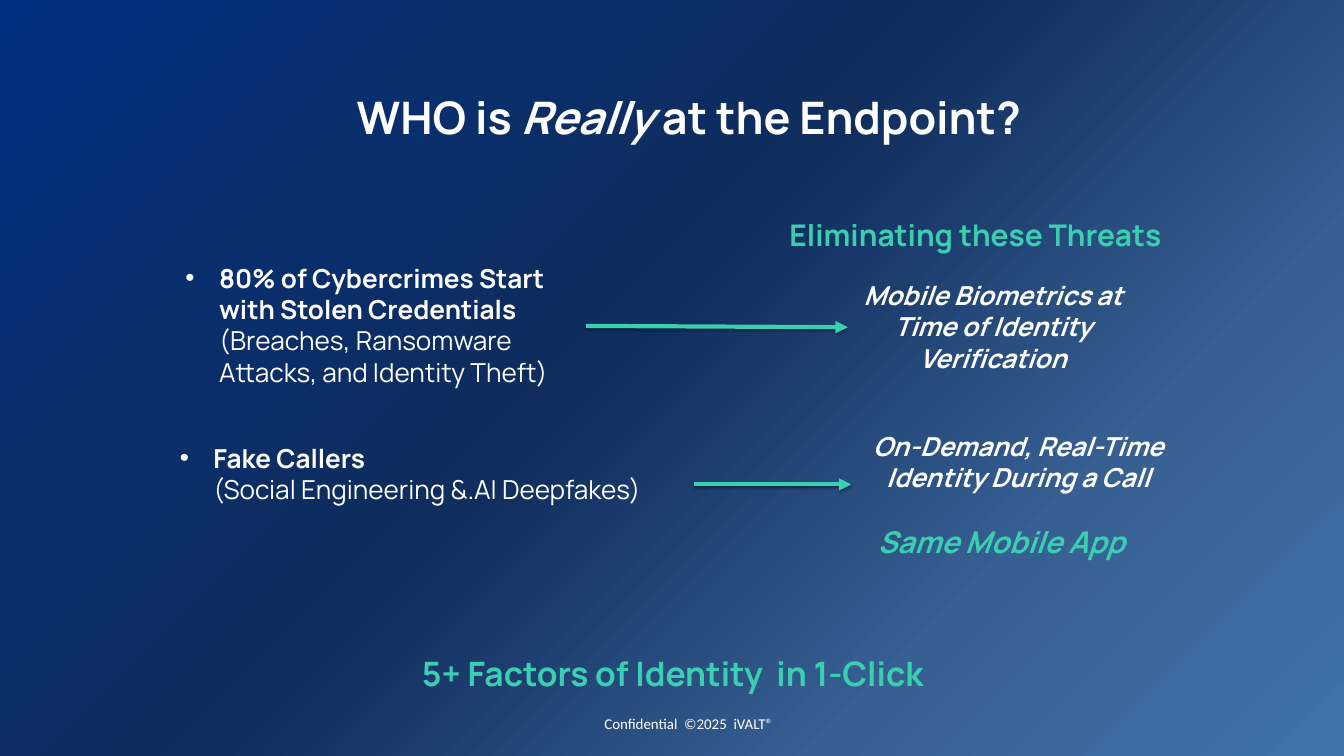
from dataclasses import dataclass

from lxml import etree
from pptx import Presentation
from pptx.dml.color import RGBColor
from pptx.enum.shapes import MSO_CONNECTOR
from pptx.enum.text import MSO_ANCHOR, MSO_AUTO_SIZE, PP_ALIGN
from pptx.oxml import parse_xml
from pptx.oxml.ns import nsdecls, qn
from pptx.util import Cm, Pt

LEFT, CENTER = PP_ALIGN.LEFT, PP_ALIGN.CENTER
TOP, MIDDLE = MSO_ANCHOR.TOP, MSO_ANCHOR.MIDDLE
GROW = MSO_AUTO_SIZE.SHAPE_TO_FIT_TEXT
STRAIGHT = MSO_CONNECTOR.STRAIGHT
TITLE_ONLY = 5
HANGING = Cm(1.27)
TIGHT = Cm(0.13)


@dataclass(frozen=True)
class Theme:
    white: str = "FFFFFF"
    accent: str = "39CFB0"
    font: str = "Manrope"
    footer_font: str = "Calibri"
    title: int = 48
    closing: int = 36
    heading: int = 32
    body: int = 28
    footer: int = 16
    arrow: float = 4.5
    gradient: tuple = (
        (0, "022F7F"), (46, "0F2D5D"), (75, "376092"),
        (100, "4172AD"), (100, "335A88"),
    )


THEME = Theme()


def paint_background(page):
    page.background.fill.solid()
    properties = page.element.find(".//" + qn("p:bgPr"))
    stops = "".join(
        f'<a:gs pos="{position * 1000}"><a:srgbClr val="{color}"/></a:gs>'
        for position, color in THEME.gradient
    )
    properties.replace(properties[0], parse_xml(
        f'<a:gradFill {nsdecls("a")} rotWithShape="1"><a:gsLst>{stops}</a:gsLst>'
        '<a:path path="circle"><a:fillToRect r="100000" b="100000"/></a:path>'
        "</a:gradFill>"
    ))


def add_span(para, text, size, color, font=THEME.font, bold=True, italic=False):
    span = para.add_run()
    span.text = text
    span.font.name = font
    span.font.size = Pt(size)
    span.font.color.rgb = RGBColor.from_string(color)
    span.font.bold = bold
    span.font.italic = italic


def place(box, left, top, width, height):
    box.left, box.top, box.width, box.height = map(Cm, (left, top, width, height))


def tighten(frame, anchor):
    frame.margin_left = frame.margin_right = TIGHT
    frame.margin_top = frame.margin_bottom = TIGHT
    frame.vertical_anchor = anchor


def add_box(page, *area):
    box = page.shapes.add_textbox(*map(Cm, area))
    frame = box.text_frame
    frame.word_wrap = True
    frame.auto_size = GROW
    return frame


def add_label(page, area, text, size, color, align=CENTER, italic=False):
    para = add_box(page, *area).paragraphs[0]
    para.alignment = align
    add_span(para, text, size, color, italic=italic)


def indent(para, bullet):
    properties = para._p.get_or_add_pPr()
    properties.set("marL", str(HANGING))
    properties.set("indent", str(-HANGING if bullet else 0))
    if bullet:
        etree.SubElement(properties, qn("a:buFont")).set("typeface", "Arial")
        etree.SubElement(properties, qn("a:buChar")).set("char", "•")


def add_threat(page, area, name, detail, detail_below):
    frame = add_box(page, *area)
    para = frame.paragraphs[0]
    indent(para, True)
    add_span(para, name, THEME.body, THEME.white)
    if detail_below:
        para = frame.add_paragraph()
        para.level = 1
        indent(para, False)
    add_span(para, detail, THEME.body, THEME.white, bold=False)


def add_arrow(page, *ends):
    arrow = page.shapes.add_connector(STRAIGHT, *map(Cm, ends))
    arrow.line.color.rgb = RGBColor.from_string(THEME.accent)
    arrow.line.width = Pt(THEME.arrow)
    etree.SubElement(arrow.line._get_or_add_ln(), qn("a:tailEnd")).set("type", "triangle")
    arrow._element.spPr.append(parse_xml(
        f'<a:effectLst {nsdecls("a")}>'
        '<a:outerShdw blurRad="40000" dist="20000" dir="5400000" rotWithShape="0">'
        '<a:srgbClr val="000000"><a:alpha val="38000"/></a:srgbClr>'
        "</a:outerShdw></a:effectLst>"
    ))


def add_title(page):
    title = page.shapes.title
    place(title, 11.2, 3.25, 29.67, 2.31)
    frame = title.text_frame
    frame.word_wrap = True
    frame.auto_size = GROW
    tighten(frame, TOP)
    para = frame.paragraphs[0]
    para.alignment = CENTER
    for text, italic in (("WHO is ", False), ("Really ", True), ("at the Endpoint?", False)):
        add_span(para, text, THEME.title, THEME.white, italic=italic)


def add_footer(page):
    frame = add_box(page, 20.45, 26.9, 11.18, 0.94)
    tighten(frame, MIDDLE)
    para = frame.paragraphs[0]
    para.alignment = CENTER
    add_span(para, "Confidential  ©2025  iVALT®", THEME.footer, THEME.white,
             THEME.footer_font, bold=False)


def main():
    deck = Presentation()
    deck.slide_width, deck.slide_height = Cm(50.8), Cm(28.58)
    page = deck.slides.add_slide(deck.slide_layouts[TITLE_ONLY])
    paint_background(page)
    add_title(page)

    add_threat(page, (6.76, 9.78, 15.37, 5.05),
               "80% of Cybercrimes Start with Stolen Credentials ",
               "(Breaches, Ransomware Attacks, and Identity Theft)", False)
    add_threat(page, (6.55, 16.59, 19.48, 2.64),
               "Fake Callers", "(Social Engineering &.AI Deepfakes)", True)

    add_arrow(page, 22.15, 12.32, 32.05, 12.37)
    add_arrow(page, 26.24, 18.31, 32.18, 18.31)

    add_label(page, (29.59, 8.08, 16.33, 1.63), "Eliminating these Threats",
              THEME.heading, THEME.accent, align=LEFT)
    add_label(page, (32.08, 10.44, 10.9, 3.84),
              "Mobile Biometrics at Time of Identity Verification",
              THEME.body, THEME.white, italic=True)
    add_label(page, (32.08, 16.13, 12.8, 2.64),
              "On-Demand, Real-Time Identity During a Call",
              THEME.body, THEME.white, italic=True)
    add_label(page, (31.45, 19.69, 12.8, 1.63), "Same Mobile App",
              THEME.heading, THEME.accent, italic=True)
    add_label(page, (15.7, 24.56, 21.82, 1.8), "5+ Factors of Identity  in 1-Click",
              THEME.closing, THEME.accent, align=LEFT)

    add_footer(page)
    deck.save("out.pptx")


if __name__ == "__main__":
    main()
